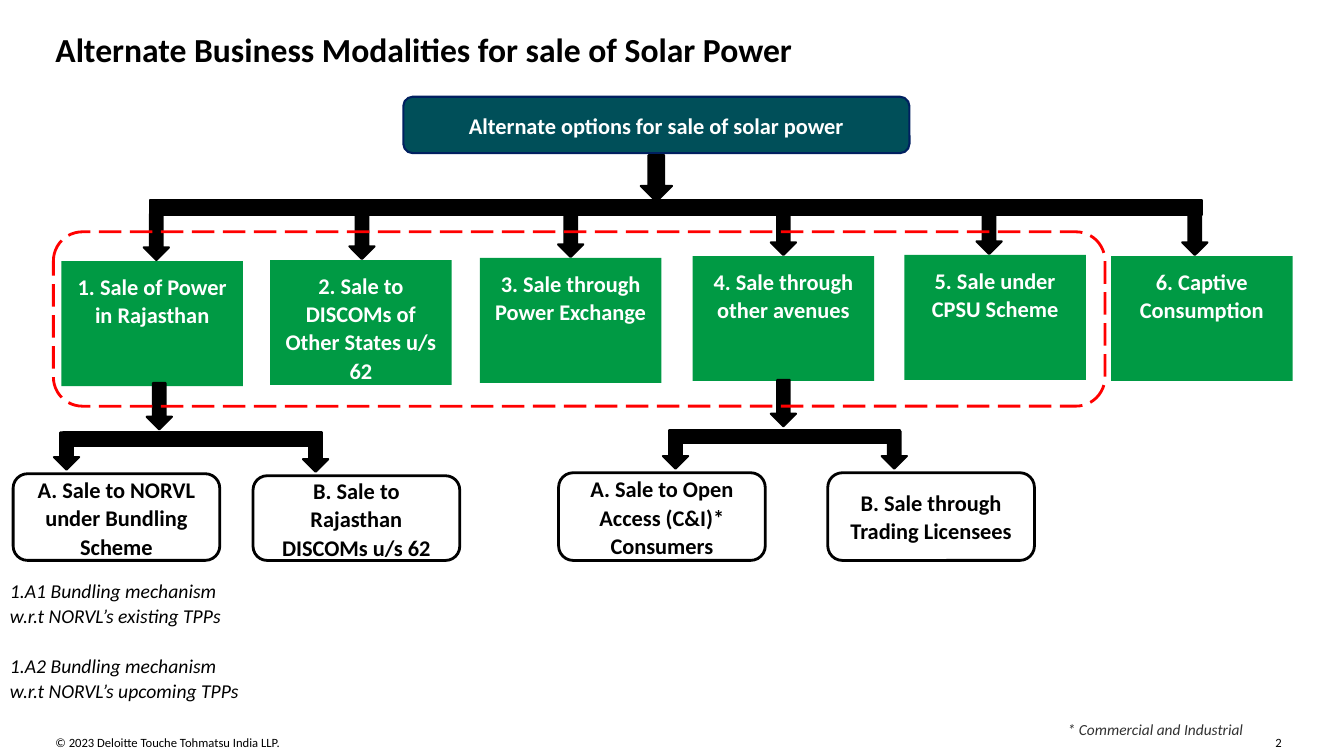
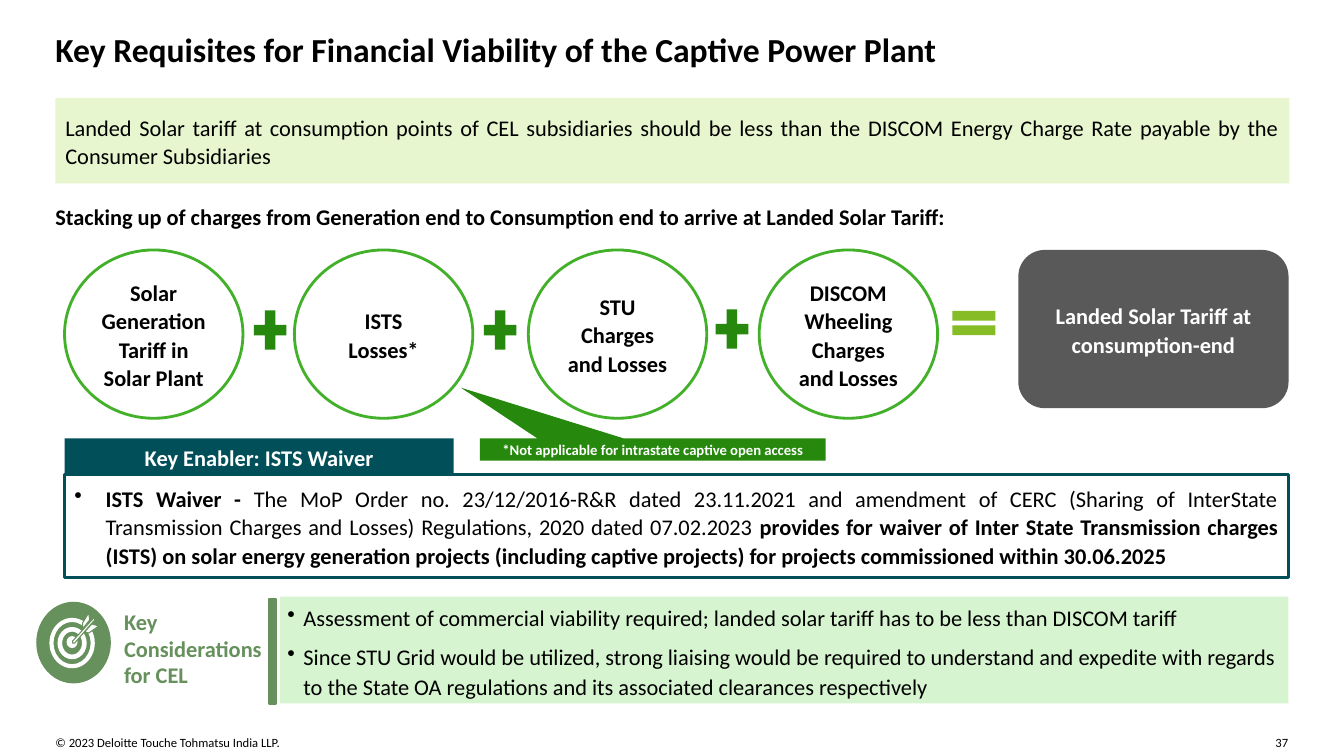
"""Two slides on solar power sale options and captive plant viability."""
from lxml.etree import SubElement
from pptx import Presentation
from pptx.dml.color import RGBColor
from pptx.enum.dml import MSO_LINE
from pptx.enum.shapes import MSO_SHAPE
from pptx.enum.text import MSO_ANCHOR, MSO_AUTO_SIZE, PP_ALIGN
from pptx.oxml.ns import qn
from pptx.util import Pt

PX = 9144
FONT = "Calibri"
BLACK, WHITE, RED, NAVY = "000000", "FFFFFF", "FF0000", "002060"
TEAL, GREEN, LEAF, RING = "004F59", "009A44", "26890D", "43B02A"
LIME, SAGE, GREY, CHARCOAL = "86BC25", "66905C", "595959", "313131"
PALE_LIME, PALE_GREEN = "E8F6CF", "D7F4D0"
LEFT, CENTER, JUSTIFY = PP_ALIGN.LEFT, PP_ALIGN.CENTER, PP_ALIGN.JUSTIFY
TOP, MIDDLE = MSO_ANCHOR.TOP, MSO_ANCHOR.MIDDLE

COPYRIGHT = "© 2023 Deloitte Touche Tohmatsu India LLP."
TITLE_FRAME = (55, 29, 1224, 37)
COPYRIGHT_FRAME = (55, 729, 586, 15)
NUMBER_FRAME = (1265, 729, 30, 15)

OPTIONS = [
    ("1. Sale of Power in Rajasthan", 61, 259, 155),
    ("2. Sale to DISCOMs of Other States u/s 62", 268, 258, 359),
    ("3. Sale through Power Exchange", 476, 256, 566),
    ("4. Sale through other avenues", 687, 254, 777),
    ("5. Sale under CPSU Scheme", 897, 253, 981),
    ("6. Captive Consumption", 1102, 254, 1185),
]
BRANCHES = [
    ((158, 380), (63, 429, 256, 13), [
        ("A. Sale to NORVL under Bundling Scheme", 13, 470, 66, MIDDLE),
        ("B. Sale to Rajasthan DISCOMs u/s 62", 251, 472, 313, MIDDLE),
    ]),
    ((777, 377), (664, 427, 229, 13), [
        ("A. Sale to Open Access (C&I)* Consumers", 554, 469, 670, MIDDLE),
        ("B. Sale through Trading Licensees", 821, 469, 887, TOP),
    ]),
]
BRANCH_BOTTOM = 556
BUNDLING_NOTES = [
    "1.A1 Bundling mechanism w.r.t NORVL’s existing TPPs",
    "1.A2 Bundling mechanism w.r.t NORVL’s upcoming TPPs",
]

CHARGES = [
    ("Solar Generation Tariff in Solar Plant", 64),
    ("ISTS Losses*", 292),
    ("STU Charges and Losses", 524),
    ("DISCOM Wheeling Charges and Losses", 753),
]
PLUS_SIGNS = [(246, 301), (474, 301), (704, 300)]
REQUIREMENT = ("Landed Solar tariff at consumption points of CEL subsidiaries should be less "
               "than the DISCOM Energy Charge Rate payable by the Consumer Subsidiaries")
STACK_HEADING = ("Stacking up of charges from Generation end to Consumption end "
                 "to arrive at Landed Solar Tariff:")
WAIVER = [
    ("ISTS Waiver -", True),
    (" The MoP Order no. 23/12/2016-R&R dated 23.11.2021 and amendment of CERC "
     "(Sharing of InterState Transmission Charges and Losses) Regulations, 2020 "
     "dated 07.02.2023 ", False),
    ("provides for waiver of Inter State Transmission charges (ISTS) on solar energy "
     "generation projects (including captive projects) for projects commissioned "
     "within 30.06.2025", True),
]
CONSIDERATIONS = [
    "Assessment of commercial viability required; landed solar tariff has to be less "
    "than DISCOM tariff",
    "Since STU Grid would be utilized, strong liaising would be required to understand "
    "and expedite with regards to the State OA regulations and its associated clearances "
    "respectively",
]
TARGET_RINGS = [((49, 613, 45, 50), 0.09), ((57, 622, 29, 32), 0.16)]
DART_PARTS = [
    [(72, 636), (93, 613), (94, 615), (74, 638), (72, 638)],
    [(82, 618), (88, 608), (89, 615), (82, 624)],
    [(91, 619), (98, 621), (88, 628), (84, 627)],
]


def color(value):
    return RGBColor.from_string(value)


def scaled(frame):
    return [length * PX for length in frame]


def paint(shape, fill, line=None, width=1.5):
    shape.shadow.inherit = False
    if fill:
        shape.fill.solid()
        shape.fill.fore_color.rgb = color(fill)
    else:
        shape.fill.background()
    if line:
        shape.line.color.rgb = color(line)
        shape.line.width = Pt(width)
    else:
        shape.line.fill.background()
    return shape


def add_bullet(para, margin, hang):
    properties = para._p.get_or_add_pPr()
    properties.set("marL", str(margin * PX))
    properties.set("indent", str(-hang * PX))
    SubElement(properties, qn("a:buChar")).set("char", "•")


def write(shape, paragraphs, size=16, ink=BLACK, bold=False, italic=False, align=LEFT,
          anchor=TOP, inset=(0, 0), spacing=None, before=0, after=0, bullet=None):
    frame = shape.text_frame
    frame.word_wrap = True
    frame.auto_size = MSO_AUTO_SIZE.NONE
    frame.vertical_anchor = anchor
    frame.margin_left = frame.margin_right = inset[0] * PX
    frame.margin_top = frame.margin_bottom = inset[1] * PX
    for index, content in enumerate(paragraphs):
        para = frame.add_paragraph() if index else frame.paragraphs[0]
        if bullet:
            add_bullet(para, *bullet)
        para.alignment = align
        para.space_before = Pt(before if index else 0)
        para.space_after = Pt(after)
        if spacing:
            para.line_spacing = spacing
        spans = [(content, bold)] if isinstance(content, str) else content
        for text, strong in spans:
            span = para.add_run()
            span.text = text
            span.font.name = FONT
            span.font.size = Pt(size)
            span.font.bold = strong
            span.font.italic = italic
            span.font.color.rgb = color(ink)


def add_label(page, frame, paragraphs, **style):
    write(page.shapes.add_textbox(*scaled(frame)), paragraphs, **style)


def add_box(page, kind, frame, fill, line=None, width=1.5):
    return paint(page.shapes.add_shape(kind, *scaled(frame)), fill, line, width)


def add_caption_box(page, kind, frame, text, fill, line=None, width=1.5,
                    ink=WHITE, size=16, anchor=MIDDLE):
    box = add_box(page, kind, frame, fill, line, width)
    write(box, [text], size=size, ink=ink, bold=True, align=CENTER,
          anchor=anchor, inset=(10, 10), spacing=1.06)
    return box


def add_arrow(page, middle, top, width=25, height=46):
    frame = (middle - width / 2, top, width, height)
    add_box(page, MSO_SHAPE.DOWN_ARROW, [round(length, 1) for length in frame], BLACK, BLACK)


def add_bar(page, frame):
    add_box(page, MSO_SHAPE.RECTANGLE, frame, BLACK, BLACK)


def add_page(deck, title, number):
    page = deck.slides.add_slide(deck.slide_layouts[5])
    heading = page.shapes.title
    heading.left, heading.top, heading.width, heading.height = scaled(TITLE_FRAME)
    write(heading, [title], size=24, bold=True)
    add_label(page, COPYRIGHT_FRAME, [COPYRIGHT], size=9)
    add_label(page, NUMBER_FRAME, [number], size=9)
    return page


def build_modalities(deck):
    page = add_page(deck, "Alternate Business Modalities for sale of Solar Power", "2")
    add_caption_box(page, MSO_SHAPE.ROUNDED_RECTANGLE, (400, 96, 502, 56),
                    "Alternate options for sale of solar power", TEAL, NAVY)
    add_bar(page, (149, 198, 1043, 15))
    add_arrow(page, 651, 154, width=31)
    for text, left, top, arrow_middle in OPTIONS:
        add_arrow(page, arrow_middle, top - 47)
        add_caption_box(page, MSO_SHAPE.RECTANGLE, (left, top, 180, 124), text, GREEN,
                        anchor=TOP)
    for trunk, bar, choices in BRANCHES:
        add_arrow(page, *trunk)
        add_bar(page, bar)
        for text, left, top, arrow_middle, anchor in choices:
            add_caption_box(page, MSO_SHAPE.ROUNDED_RECTANGLE,
                            (left, top, 205, BRANCH_BOTTOM - top), text, WHITE, BLACK, 2,
                            ink=BLACK, anchor=anchor)
            add_arrow(page, arrow_middle, top - 41, height=37)
    add_label(page, (0, 568, 256, 134), BUNDLING_NOTES, size=14, italic=True,
              inset=(10, 5), spacing=1.06, before=18)
    add_label(page, (1059, 714, 197, 19), ["* Commercial and Industrial"], size=11,
              ink=CHARCOAL, italic=True)
    outline = add_box(page, MSO_SHAPE.ROUNDED_RECTANGLE, (53, 230, 1043, 173), None, RED, 2)
    outline.line.dash_style = MSO_LINE.LONG_DASH


def add_target_icon(page):
    add_box(page, MSO_SHAPE.OVAL, (36, 597, 74, 81), SAGE)
    for frame, thickness in TARGET_RINGS:
        ring = add_box(page, MSO_SHAPE.DONUT, frame, WHITE)
        ring.adjustments[0] = thickness
    add_box(page, MSO_SHAPE.OVAL, (66, 631, 11, 12), WHITE)
    for points in DART_PARTS:
        builder = page.shapes.build_freeform(*points[0], scale=PX)
        builder.add_line_segments(points[1:], close=True)
        paint(builder.convert_to_shape(), WHITE, SAGE, 0.75)


def build_requisites(deck):
    page = add_page(deck, "Key Requisites for Financial Viability of the Captive Power Plant",
                    "37")
    requirement = add_box(page, MSO_SHAPE.RECTANGLE, (55, 97, 1224, 85), PALE_LIME)
    write(requirement, [REQUIREMENT], align=JUSTIFY, anchor=MIDDLE, inset=(10, 10),
          spacing=1.06)
    add_label(page, (55, 202, 1203, 37), [STACK_HEADING], bold=True)
    for text, left in CHARGES:
        add_caption_box(page, MSO_SHAPE.OVAL, (left, 248, 177, 167), text, WHITE, RING, 2,
                        ink=BLACK)
    for left, top in PLUS_SIGNS:
        add_box(page, MSO_SHAPE.MATH_PLUS, (left, top, 44, 53), LEAF)
    add_box(page, MSO_SHAPE.MATH_EQUAL, (937, 300, 58, 41), LIME)
    add_caption_box(page, MSO_SHAPE.ROUNDED_RECTANGLE, (1010, 248, 268, 157),
                    "Landed Solar Tariff at consumption-end", GREY)

    waiver = add_box(page, MSO_SHAPE.RECTANGLE, (64, 471, 1214, 102), WHITE, TEAL, 2)
    write(waiver, [WAIVER], align=JUSTIFY, anchor=MIDDLE, inset=(10, 10), spacing=1.06,
          after=6, bullet=(31, 31))
    add_caption_box(page, MSO_SHAPE.RECTANGLE, (64, 435, 386, 37),
                    "Key Enabler: ISTS Waiver", TEAL)
    callout = add_caption_box(page, MSO_SHAPE.RECTANGULAR_CALLOUT, (476, 435, 343, 22),
                              "*Not applicable for intrastate captive open access", LEAF,
                              size=10.5)
    callout.adjustments[0], callout.adjustments[1] = -0.555, -2.791

    considerations = add_box(page, MSO_SHAPE.RECTANGLE, (278, 592, 1000, 106), PALE_GREEN)
    write(considerations, CONSIDERATIONS, anchor=MIDDLE, inset=(4, 3), spacing=1.14,
          after=6, bullet=(19, 16))
    add_box(page, MSO_SHAPE.RECTANGLE, (267, 594, 7, 104), SAGE, SAGE)
    add_label(page, (123, 603, 151, 81), ["Key Considerations for CEL"], ink=SAGE, bold=True)
    add_target_icon(page)


def main():
    deck = Presentation()
    deck.slide_width, deck.slide_height = scaled((1333, 750))
    build_modalities(deck)
    build_requisites(deck)
    deck.save("out.pptx")


if __name__ == "__main__":
    main()
